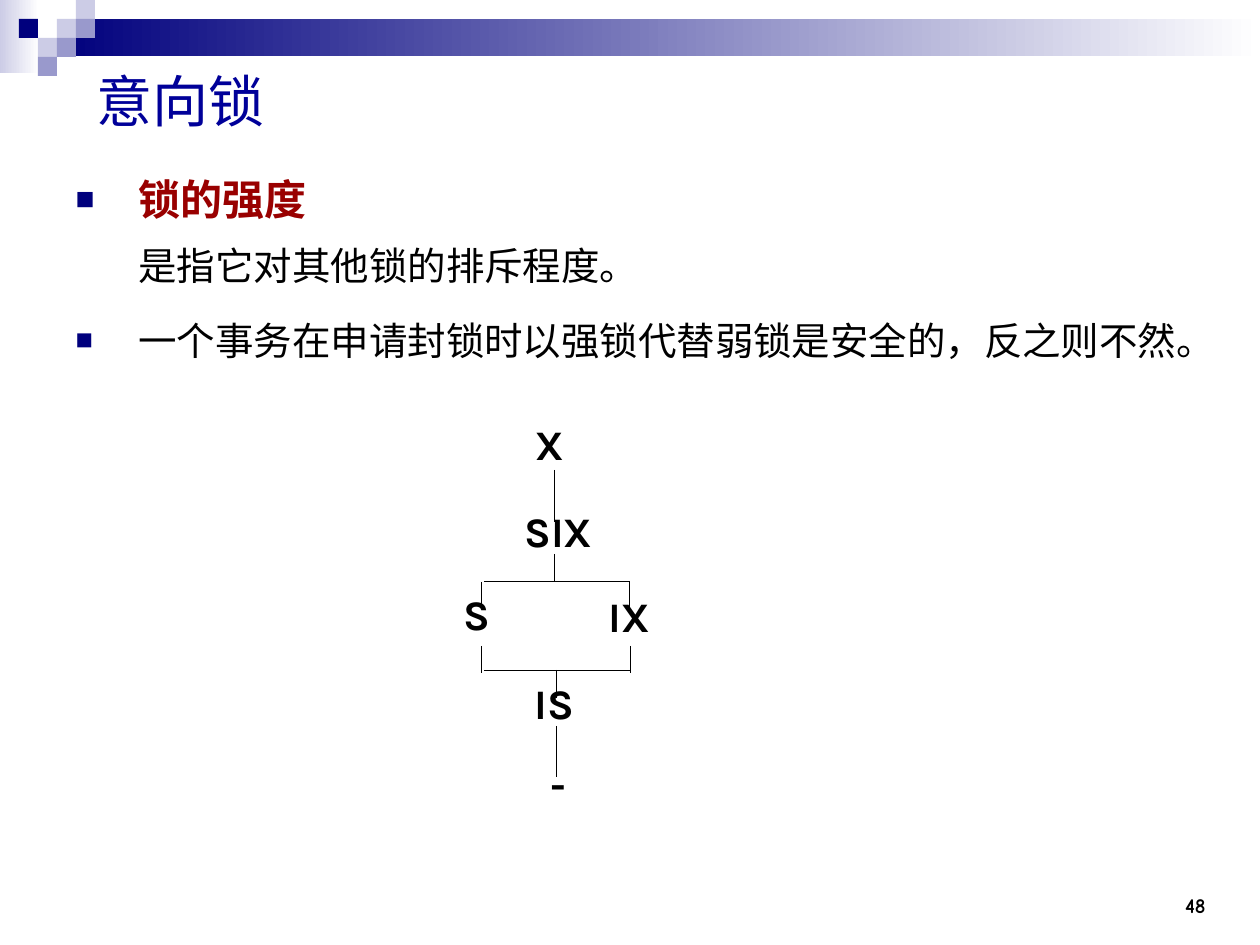
from lxml import etree
from pptx import Presentation
from pptx.dml.color import RGBColor
from pptx.enum.shapes import MSO_CONNECTOR as Connector, MSO_SHAPE as Shape
from pptx.enum.text import MSO_ANCHOR as Anchor, PP_ALIGN as Align
from pptx.oxml.ns import qn
from pptx.util import Emu, Pt

COLORS = {
    "navy": "00007D", "violet": "9999CC", "lilac": "CCCCE6", "white": "FFFFFF",
    "title": "000099", "red": "990000", "black": "000000",
}
FONT = "Karla"

# Content: each run is text, size, colour, bold
TITLE = ("意向锁", 32, "title", False)
BULLETS = [
    [("锁的强度", 24, "red", True), ("是指它对其他锁的排斥程度。", 22, "black", False)],
    [("一个事务在申请封锁时以强锁代替弱锁是安全的，反之则不然。", 22, "black", False)],
]
SLIDE_NUMBER = "48"

# Lock hierarchy: label, box in px, line spacing
LOCKS = [
    ("X", (523, 420, 74, 58), 0.86),
    ("SIX", (512, 503, 106, 70), 0.96),
    ("S", (451, 586, 69, 70), 0.96),
    ("IX", (596, 588, 76, 70), 0.96),
    ("IS", (522, 675, 94, 70), 0.96),
    ("-", (538, 756, 62, 63), 0.96),
]
# Vertical links (x, top, bottom) and horizontal links (y, left, right)
VERTICALS = [(554, 470, 522), (554, 554, 581), (481, 582, 609), (629, 582, 609),
             (481, 646, 673), (630, 646, 673), (556, 670, 698), (556, 726, 777)]
HORIZONTALS = [(581, 484, 630), (670, 484, 630)]

# Corner squares on a 19 px grid: column, row, colour
CELL = 19
SQUARES = [(3, 1, "lilac"), (4, 0, "lilac"), (4, 1, "violet"), (2, 2, "lilac"),
           (1, 1, "navy"), (3, 2, "violet"), (2, 3, "violet")]
BANDS = [((0, 0, 39, 73), "lilac"), ((57, 19, 1203, 37), "navy")]


def px(value):
    return Emu(round(value * 914400 / 126))


def color(name):
    return RGBColor.from_string(COLORS[name])


def place(shape, box):
    shape.left, shape.top, shape.width, shape.height = map(px, box)


def format_run(run, size, color_name, bold, font=FONT):
    run.font.size, run.font.bold, run.font.name = Pt(size), bold, font
    run.font.color.rgb = color(color_name)


def add_rectangle(slide, box):
    shape = slide.shapes.add_shape(Shape.RECTANGLE, *map(px, box))
    shape.shadow.inherit = False
    shape.line.fill.background()
    return shape


def add_label(slide, text, box, size, align, font=FONT):
    frame = slide.shapes.add_textbox(*map(px, box)).text_frame
    frame.word_wrap = True
    frame.text = text
    paragraph = frame.paragraphs[0]
    paragraph.alignment = align
    format_run(paragraph.runs[0], size, "black", True, font)
    return frame


def add_line(slide, *ends):
    line = slide.shapes.add_connector(Connector.STRAIGHT, *map(px, ends))
    line.line.color.rgb = color("black")
    line.line.width = Pt(0.5)
    etree.SubElement(line._element.spPr, qn("a:effectLst"))


def add_bullet(paragraph):
    properties = paragraph._p.get_or_add_pPr()
    properties.set("marL", str(px(63)))
    properties.set("indent", str(-px(63)))
    bullet_color = etree.SubElement(properties, qn("a:buClr"))
    etree.SubElement(bullet_color, qn("a:srgbClr"), val=COLORS["navy"])
    etree.SubElement(properties, qn("a:buSzPct"), val="75000")
    etree.SubElement(properties, qn("a:buChar"), char="■")


def main():
    presentation = Presentation()
    presentation.slide_width, presentation.slide_height = px(1260), px(945)
    slide = presentation.slides.add_slide(presentation.slide_layouts[1])

    # Corner decoration
    for box, start in BANDS:
        fill = add_rectangle(slide, box).fill
        fill.gradient()
        fill.gradient_angle = 0
        for stop, name, position in zip(fill.gradient_stops, (start, "white"), (0, 1)):
            stop.color.rgb = color(name)
            stop.position = position
    for column, row, name in SQUARES:
        fill = add_rectangle(slide, (column * CELL, row * CELL, CELL, CELL)).fill
        fill.solid()
        fill.fore_color.rgb = color(name)

    # Title
    title = slide.shapes.title
    place(title, (84, 53, 1134, 94))
    text, *style = TITLE
    title.text_frame.text = text
    title.text_frame.vertical_anchor = Anchor.MIDDLE
    paragraph = title.text_frame.paragraphs[0]
    paragraph.alignment = Align.LEFT
    format_run(paragraph.runs[0], *style)

    # Bulleted list
    body = slide.placeholders[1]
    place(body, (63, 147, 1155, 735))
    frame = body.text_frame
    for index, runs in enumerate(BULLETS):
        paragraph = frame.add_paragraph() if index else frame.paragraphs[0]
        add_bullet(paragraph)
        paragraph.line_spacing = 1.4
        paragraph.space_before = Pt(5.5 if index else 0)
        paragraph.text = "\v".join(run[0] for run in runs)
        for run, (_, *style) in zip(paragraph.runs, runs):
            format_run(run, *style)

    # Lock hierarchy
    for y, left, right in HORIZONTALS:
        add_line(slide, left, y, right, y)
    for x, top, bottom in VERTICALS:
        add_line(slide, x, top, x, bottom)
    for text, box, spacing in LOCKS:
        frame = add_label(slide, text, box, 24, Align.JUSTIFY)
        frame.paragraphs[0].line_spacing = spacing

    # Slide number
    frame = add_label(slide, SLIDE_NUMBER, (1113, 861, 105, 63), 12, Align.RIGHT, "Comic Neue")
    frame.vertical_anchor = Anchor.BOTTOM

    presentation.save("out.pptx")


if __name__ == "__main__":
    main()
